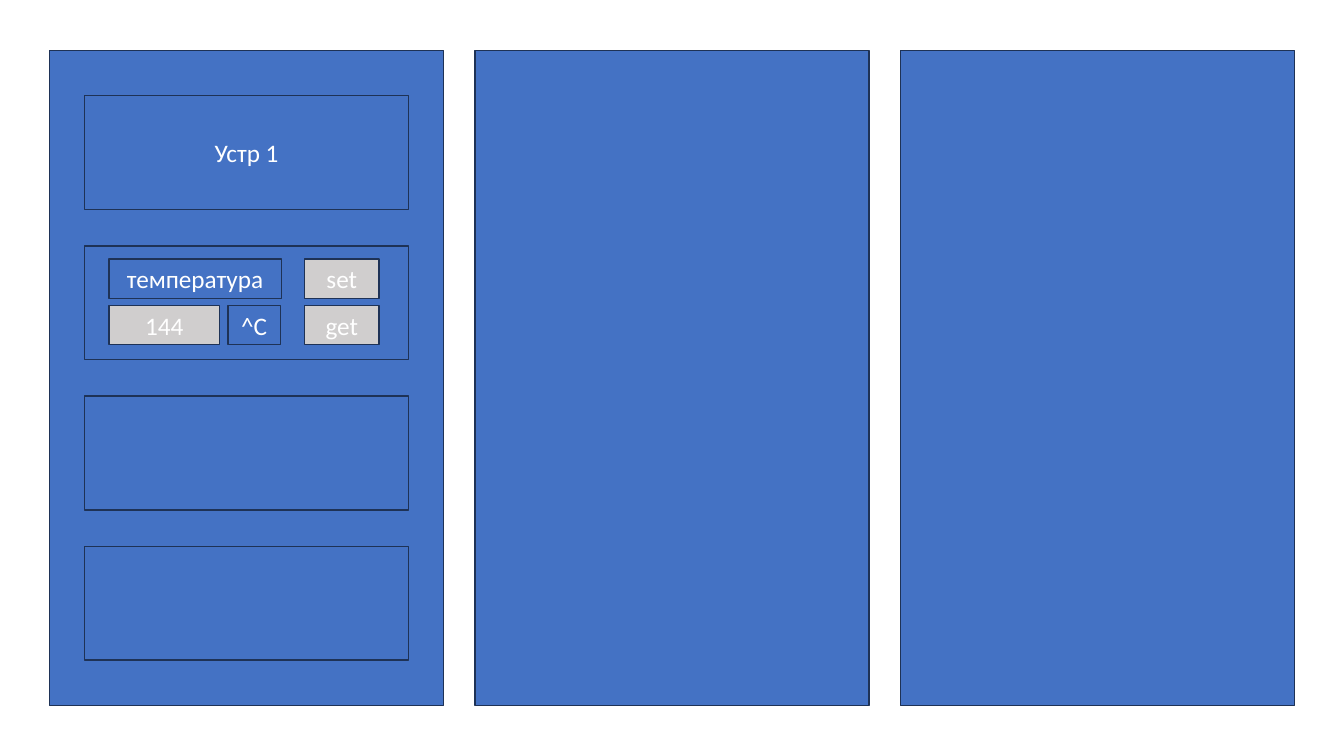
import pptx
import pptx.dml.color
import pptx.enum.shapes
import pptx.enum.text
import pptx.util

Inches = pptx.util.Inches
BLUE = "4472C4"
GREY = "D0CECE"
OUTLINE = "1E3256"
WHITE = "FFFFFF"


def color(hex_string):
    return pptx.dml.color.RGBColor.from_string(hex_string)


class Board:
    """Holds the style and the current slide."""

    font = "Calibri"
    size = 18

    def __init__(self, slide):
        self.slide = slide

    def box(self, left, top, width, height, text="", fill=BLUE):
        box = self.slide.shapes.add_shape(
            pptx.enum.shapes.MSO_SHAPE.RECTANGLE,
            Inches(left), Inches(top), Inches(width), Inches(height))
        box.shadow.inherit = False
        box.fill.solid()
        box.fill.fore_color.rgb = color(fill)
        box.line.color.rgb = color(OUTLINE)
        box.line.width = pptx.util.Pt(1)
        if text:
            self.label(box.text_frame, text)
        return box

    def label(self, frame, text):
        frame.text = text
        frame.word_wrap = True
        frame.vertical_anchor = pptx.enum.text.MSO_ANCHOR.MIDDLE
        paragraph = frame.paragraphs[0]
        paragraph.alignment = pptx.enum.text.PP_ALIGN.CENTER
        for run in paragraph.runs:
            run.font.name = self.font
            run.font.size = pptx.util.Pt(self.size)
            run.font.color.rgb = color(WHITE)


def main():
    presentation = pptx.Presentation()
    presentation.slide_width = Inches(13.33)
    presentation.slide_height = Inches(7.5)
    board = Board(presentation.slides.add_slide(presentation.slide_layouts[6]))

    # Three columns
    for column in range(3):
        board.box(0.49 + 4.22 * column, 0.5, 3.91, 6.5)

    # Device cards in the first column
    for row, device in enumerate(["Устр 1", "", "", ""]):
        board.box(0.84, 0.95 + 1.49 * row, 3.21, 1.13, device)

    # Temperature controls in the second card: left, width, text, fill
    control_rows = [
        [(1.08, 1.71, "температура", BLUE), (3.02, 0.74, "set", GREY)],
        [(1.08, 1.1, "144", GREY), (2.26, 0.52, "^С", BLUE),
         (3.02, 0.74, "get", GREY)],
    ]
    for row, controls in enumerate(control_rows):
        for left, width, text, fill in controls:
            board.box(left, 2.57 + 0.46 * row, width, 0.39, text, fill)

    presentation.save("out.pptx")


if __name__ == "__main__":
    main()
